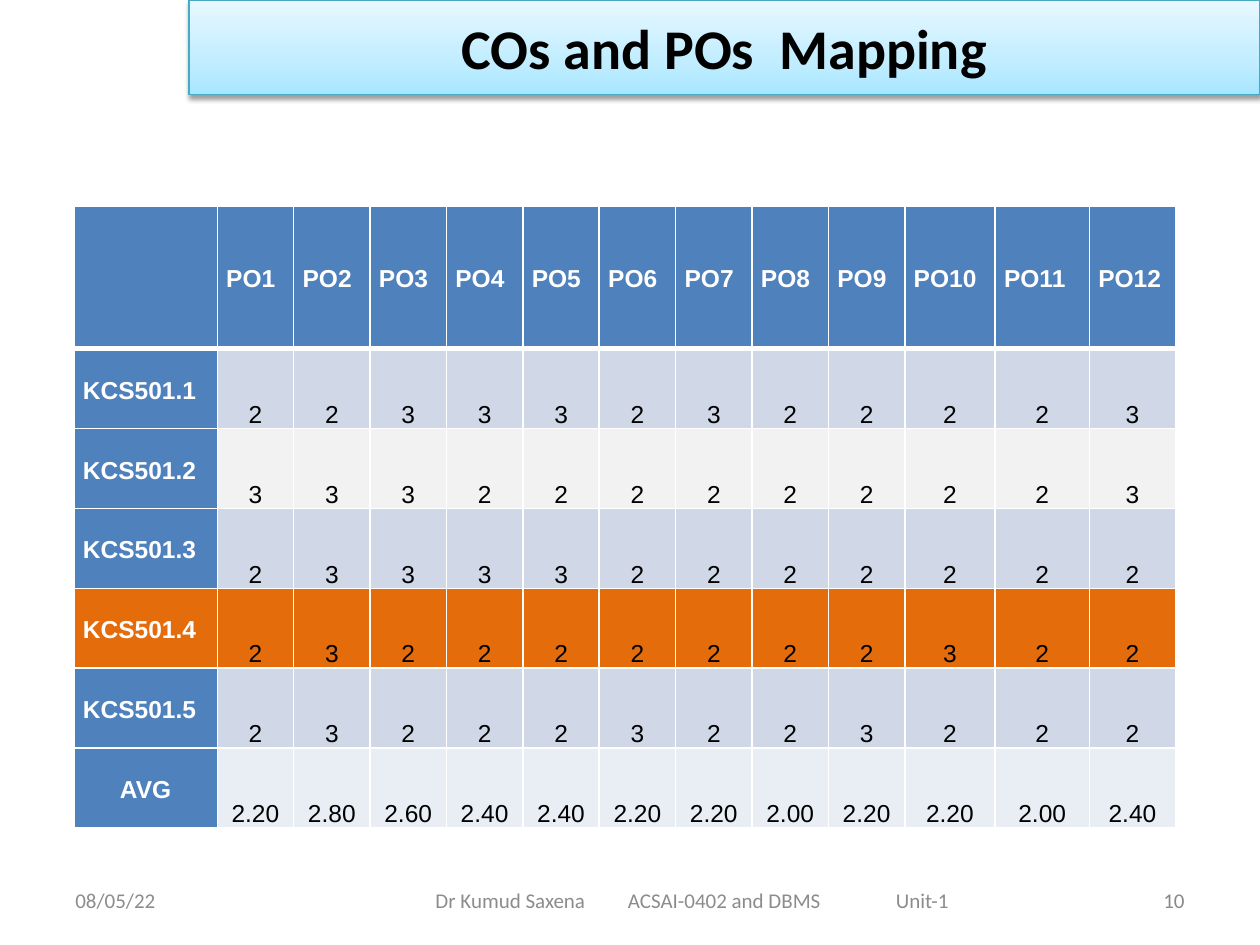
"""Build the slide that maps course outcomes to programme outcomes."""
import copy

import pptx
import pptx.dml.color
import pptx.enum.text
import pptx.oxml
import pptx.oxml.ns
import pptx.util
from lxml import etree

Cm = pptx.util.Cm
Pt = pptx.util.Pt
Align = pptx.enum.text.PP_ALIGN
Anchor = pptx.enum.text.MSO_ANCHOR
qn = pptx.oxml.ns.qn

OUTCOMES = {
    "KCS501.1": [2, 2, 3, 3, 3, 2, 3, 2, 2, 2, 2, 3],
    "KCS501.2": [3, 3, 3, 2, 2, 2, 2, 2, 2, 2, 2, 3],
    "KCS501.3": [2, 3, 3, 3, 3, 2, 2, 2, 2, 2, 2, 2],
    "KCS501.4": [2, 3, 2, 2, 2, 2, 2, 2, 2, 3, 2, 2],
    "KCS501.5": [2, 3, 2, 2, 2, 3, 2, 2, 3, 2, 2, 2],
}
ROW_FILLS = ["D0D8E8", "F2F2F2", "D0D8E8", "E46C0A", "D0D8E8", "E9EDF4"]
HIGHLIGHTED = "KCS501.4"
COLUMN_WIDTHS = [2.89] + [1.54] * 9 + [1.82, 1.9, 1.74]
ROW_HEIGHTS = [2.88] + [1.61] * 6


def color(value):
    return pptx.dml.color.RGBColor.from_string(value)


class MappingSlide:
    blue = "4F81BD"
    white = "FFFFFF"
    black = "000000"

    def __init__(self, presentation):
        self.slide = presentation.slides.add_slide(presentation.slide_layouts[5])

    def format(self, paragraph, font, size, fill, bold=False, align=Align.LEFT):
        paragraph.alignment = align
        paragraph.font.name = font
        paragraph.font.size = Pt(size)
        paragraph.font.bold = bold
        paragraph.font.color.rgb = color(fill)

    def title(self, text, left, top, width, height):
        shape = self.slide.shapes.title
        shape.left, shape.top = Cm(left), Cm(top)
        shape.width, shape.height = Cm(width), Cm(height)
        shape.text_frame.text = text
        shape.text_frame.vertical_anchor = Anchor.MIDDLE
        self.format(shape.text_frame.paragraphs[0], "Calibri", 32, self.black, True, Align.CENTER)
        shape.fill.gradient()
        shape.fill.gradient_angle = 90
        stops = shape.element.find(".//" + qn("a:gsLst"))
        stops.append(copy.deepcopy(stops[0]))
        gradient = [(0, "A7E6FF"), (0.35, "C1EDFF"), (1, "E7F8FF")]
        for stop, (position, value) in zip(shape.fill.gradient_stops, gradient):
            stop.position = position
            stop.color.rgb = color(value)
        shape.line.color.rgb = color("46AAC5")
        shape.line.width = Pt(0.75)
        shape.shadow.inherit = False
        effects = shape.element.find(".//" + qn("a:effectLst"))
        shadow = etree.SubElement(effects, qn("a:outerShdw"), blurRad=str(Pt(3.1)),
                                  dist=str(Pt(1.6)), dir="5400000", rotWithShape="0")
        shade = etree.SubElement(shadow, qn("a:srgbClr"), val=self.black)
        etree.SubElement(shade, qn("a:alpha"), val="38000")

    def footer(self, text, left, width, align=Align.LEFT, fill="8C8C8C", tabs=()):
        shape = self.slide.shapes.add_textbox(Cm(left), Cm(17.65), Cm(width), Cm(1.01))
        frame = shape.text_frame
        frame.word_wrap = True
        frame.vertical_anchor = Anchor.MIDDLE
        frame.text = text
        paragraph = frame.paragraphs[0]
        if tabs:
            properties = paragraph._p.get_or_add_pPr()
            tab_list = etree.SubElement(properties, qn("a:tabLst"))
            for position in tabs:
                etree.SubElement(tab_list, qn("a:tab"), pos=str(Cm(position)), algn="l")
        self.format(paragraph, "Calibri", 12, fill, align=align)

    def borders(self, cell, top=1, bottom=1):
        properties = cell._tc.get_or_add_tcPr()
        for side, width in zip("LRTB", (1, 1, top, bottom)):
            line = etree.SubElement(properties, qn("a:ln" + side), w=str(Pt(width)))
            solid = etree.SubElement(line, qn("a:solidFill"))
            etree.SubElement(solid, qn("a:srgbClr"), val=self.white)

    def cell(self, cell, text, fill, is_label, align):
        cell.fill.solid()
        cell.fill.fore_color.rgb = color(fill)
        cell.margin_left = cell.margin_right = Cm(0.18)
        cell.margin_top = cell.margin_bottom = 0
        cell.vertical_anchor = Anchor.MIDDLE if is_label else Anchor.BOTTOM
        cell.text = text
        paragraph = cell.text_frame.paragraphs[0]
        paragraph.line_spacing = 1.15
        if not is_label:
            paragraph.space_after = Pt(10)
        text_color = self.white if is_label else self.black
        self.format(paragraph, "Arial", 14, text_color, is_label, align)

    def table(self, rows, left, top):
        frame = self.slide.shapes.add_table(
            len(rows), len(rows[0]), Cm(left), Cm(top),
            Cm(sum(COLUMN_WIDTHS)), Cm(sum(ROW_HEIGHTS)))
        table = frame.table
        for column, width in zip(table.columns, COLUMN_WIDTHS):
            column.width = Cm(width)
        for row, height in zip(table.rows, ROW_HEIGHTS):
            row.height = Cm(height)
        for i, texts in enumerate(rows):
            for j, text in enumerate(texts):
                cell = table.cell(i, j)
                self.borders(cell, 3 if i == 1 else 1, 3 if i == 0 else 1)
                is_label = i == 0 or j == 0
                if is_label and text != HIGHLIGHTED:
                    fill = self.blue
                else:
                    fill = ROW_FILLS[i - 1]
                align = Align.CENTER
                if is_label and text != "AVG":
                    align = Align.JUSTIFY if i == 0 else Align.LEFT
                self.cell(cell, text, fill, is_label, align)


def mapping_rows():
    header = [""] + [f"PO{number}" for number in range(1, 13)]
    levels = [[name] + [str(level) for level in values] for name, values in OUTCOMES.items()]
    averages = [f"{sum(column) / len(column):.2f}" for column in zip(*OUTCOMES.values())]
    return [header] + levels + [["AVG"] + averages]


def main():
    presentation = pptx.Presentation()
    presentation.slide_width, presentation.slide_height = Cm(25.4), Cm(19.05)
    slide = MappingSlide(presentation)
    slide.title("COs and POs  Mapping", 3.81, 0, 21.59, 1.91)
    slide.footer("08/05/22", 1.27, 5.93)
    slide.footer("Dr Kumud Saxena\tACSAI-0402 and DBMS\tUnit-1", 8.53, 12.43, tabs=(3.88, 9.28))
    slide.footer("10", 18.2, 5.93, Align.RIGHT, "898989")
    slide.table(mapping_rows(), 1.49, 4.15)
    presentation.save("out.pptx")


if __name__ == "__main__":
    main()
